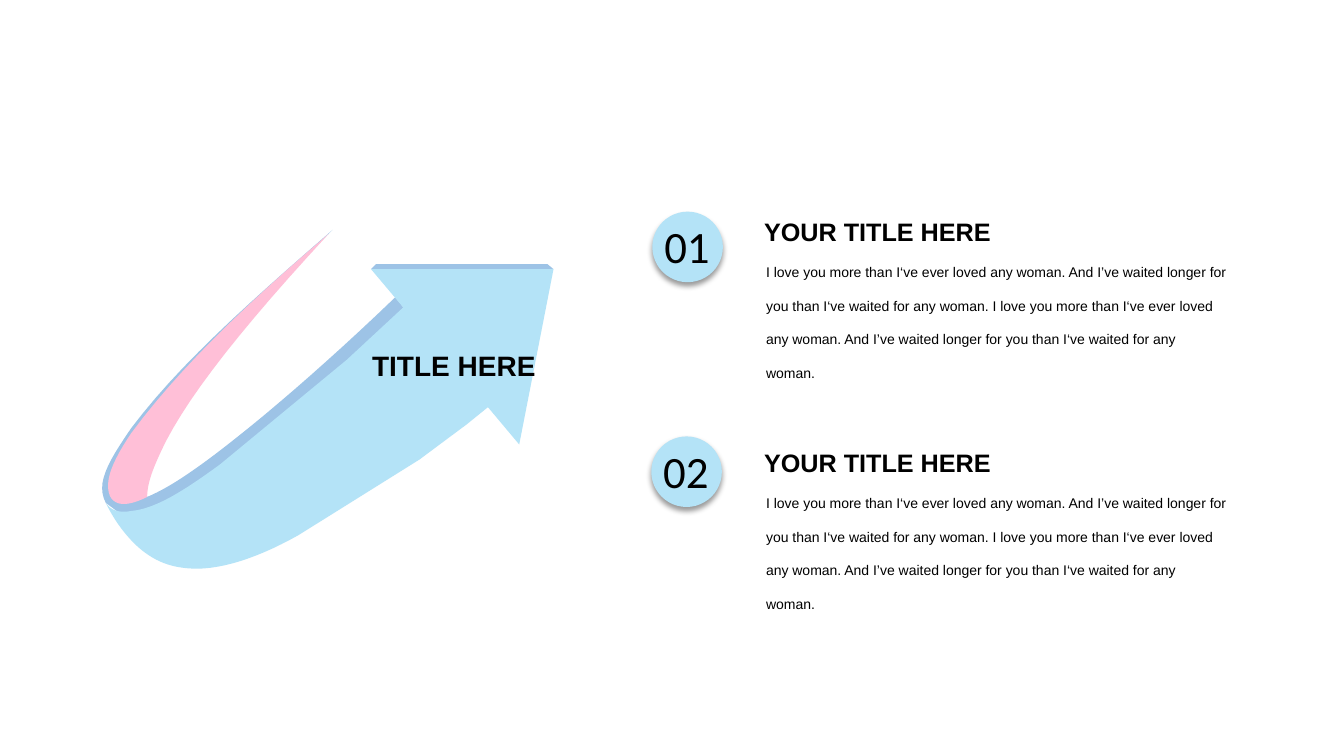
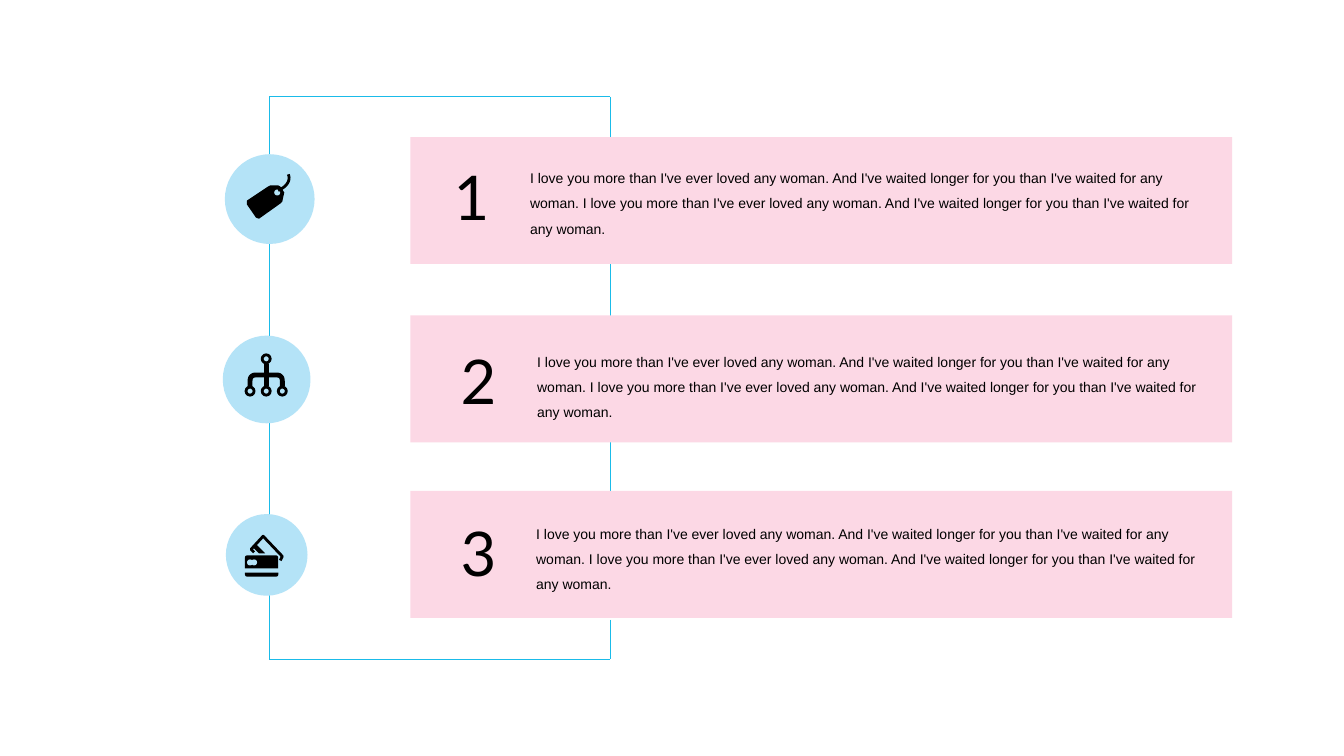
from lxml.etree import SubElement
from pptx import Presentation
from pptx.dml.color import RGBColor
from pptx.enum.shapes import MSO_CONNECTOR, MSO_SHAPE
from pptx.enum.text import MSO_ANCHOR, MSO_AUTO_SIZE, PP_ALIGN
from pptx.oxml.ns import qn
from pptx.util import Inches, Pt

BLACK = RGBColor(0x00, 0x00, 0x00)
SKY = RGBColor(0xB4, 0xE3, 0xF7)
BLUE = RGBColor(0x9D, 0xC3, 0xE6)
PINK = RGBColor(0xFF, 0xBF, 0xD7)
PALE_PINK = RGBColor(0xFC, 0xD8, 0xE5)
CYAN = RGBColor(0x1A, 0xBB, 0xE9)

TITLE_ONLY, BLANK = 5, 6
CURVE_STEPS = 12

QUOTE_CURLY = " ".join([
    "I love you more than I‘ve ever loved any woman. "
    "And I’ve waited longer for you than I‘ve waited for any woman."] * 2)
QUOTE_STRAIGHT = " ".join([
    "I love you more than I've ever loved any woman. "
    "And I've waited longer for you than I've waited for any woman."] * 2)

# Outlines: a start point, then segments of one point (line) or three (curve)
RIBBON_EDGE = [
    [(2.3, 0.28)],
    [(1.4, 1.06), (0.75, 1.65), (0.3, 2.25)],
    [(0.06, 2.6), (-0.05, 2.8), (0.05, 2.99)],
    [(0.2, 3.1)], [(0.7, 3.02)], [(1.18, 2.7)], [(2.5, 1.65)],
    [(3, 1.05)], [(2.92, 0.95)],
    [(2.19, 1.65), (1.59, 2.16), (1.13, 2.51)],
    [(0.85, 2.72), (0.65, 2.85), (0.46, 2.93)],
    [(0.4, 2.6)], [(0.95, 1.7)], [(1.5, 1.04)],
]
HEAD_EDGE = [[(2.68, 0.67)], [(2.73, 0.62)], [(4.43, 0.62)], [(4.49, 0.67)]]
RIBBON_FRONT = [
    [(0.05, 2.99)],
    [(0.15, 3.2), (0.32, 3.42), (0.51, 3.53)],
    [(0.66, 3.62), (0.83, 3.65), (1.02, 3.64)],
    [(1.3, 3.62), (1.62, 3.5), (1.96, 3.31)],
    [(3.16, 2.56)], [(3.63, 2.21)], [(3.84, 2.04)],
    [(4.15, 2.41)], [(4.49, 0.67)], [(2.68, 0.67)],
    [(3, 1.05)], [(2.44, 1.57)], [(1.18, 2.61)],
    [(0.85, 2.85), (0.55, 3.05), (0.3, 3.07)],
    [(0.2, 3.09), (0.1, 3.07), (0.05, 2.99)],
]
RIBBON_BACK = [
    [(0.46, 2.93)],
    [(0.46, 2.8), (0.51, 2.65), (0.65, 2.37)],
    [(0.9, 1.89), (1.41, 1.24), (2.26, 0.32)],
    [(1.4, 1.05), (0.75, 1.69), (0.3, 2.3)],
    [(0.12, 2.57), (0.03, 2.77), (0.09, 2.92)],
    [(0.15, 3.04), (0.3, 3.01), (0.46, 2.93)],
]
TAG_BODY = [[point] for point in (
    (0.45, 0.31), (0.53, 0.31), (0.55, 0.32), (0.59, 0.38), (0.57, 0.47),
    (0.55, 0.49), (0.34, 0.64), (0.31, 0.63), (0.22, 0.5), (0.22, 0.46),
    (0.43, 0.32))]
TAG_STRING = [[(0.53, 0.36)], [(0.6, 0.33), (0.66, 0.27), (0.63, 0.2)]]
NETWORK_TRUNK = [[(0.43, 0.28)], [(0.43, 0.5)]]
NETWORK_ARCH = [
    [(0.27, 0.5)], [(0.27, 0.45)],
    [(0.27, 0.41), (0.29, 0.39), (0.33, 0.39)], [(0.53, 0.39)],
    [(0.57, 0.39), (0.59, 0.41), (0.59, 0.45)], [(0.59, 0.5)],
]
BACK_CARD = [[point] for point in (
    (0.28, 0.38), (0.25, 0.35), (0.37, 0.22), (0.56, 0.42), (0.54, 0.46))]
BACK_CARD_STRIPE = [[point] for point in (
    (0.27, 0.33), (0.3, 0.3), (0.39, 0.39), (0.33, 0.39))]


# Shared drawing helpers
def flatten(segments):
    points = list(segments[0])
    for segment in segments[1:]:
        if len(segment) == 1:
            points += segment
            continue
        corners = [points[-1], *segment]
        for step in range(1, CURVE_STEPS + 1):
            t = step / CURVE_STEPS
            weights = ((1 - t) ** 3, 3 * t * (1 - t) ** 2,
                       3 * t * t * (1 - t), t ** 3)
            points.append(tuple(
                sum(w * corner[axis] for w, corner in zip(weights, corners))
                for axis in (0, 1)))
    return points


def paint(shape, fill=None, line=None, width=0):
    shape.shadow.inherit = False
    if fill is None:
        shape.fill.background()
    else:
        shape.fill.solid()
        shape.fill.fore_color.rgb = fill
    if line is None:
        shape.line.fill.background()
    else:
        shape.line.color.rgb = line
        shape.line.width = Pt(width)
    return shape


def add_outline(slide, left, top, segments, fill=None, width=0):
    """A filled outline, or an open black stroke when a width is given."""
    points = [(Inches(left + x), Inches(top + y)) for x, y in flatten(segments)]
    builder = slide.shapes.build_freeform(*points[0])
    builder.add_line_segments(points[1:], close=not width)
    paint(builder.convert_to_shape(), fill, BLACK if width else None, width)


def add_block(slide, kind, left, top, width, height, fill, line=None, line_width=0):
    shape = slide.shapes.add_shape(
        kind, Inches(left), Inches(top), Inches(width), Inches(height))
    return paint(shape, fill, line, line_width)


def add_disc(slide, center_x, center_y, radius, fill, line=None, line_width=0):
    return add_block(slide, MSO_SHAPE.OVAL, center_x - radius, center_y - radius,
                     2 * radius, 2 * radius, fill, line, line_width)


def format_text(shape, text, size, font="Arial", bold=False, spacing=1.0,
                align=PP_ALIGN.LEFT):
    frame = shape.text_frame
    frame.text = text
    frame.word_wrap = True
    frame.auto_size = MSO_AUTO_SIZE.NONE
    frame.vertical_anchor = MSO_ANCHOR.TOP
    paragraph = frame.paragraphs[0]
    paragraph.line_spacing = spacing
    paragraph.alignment = align
    run_font = paragraph.runs[0].font
    run_font.name = font
    run_font.size = Pt(size)
    run_font.bold = bold
    run_font.color.rgb = BLACK


def add_text(slide, left, top, width, height, text, size, **style):
    box = slide.shapes.add_textbox(
        Inches(left), Inches(top), Inches(width), Inches(height))
    format_text(box, text, size, **style)


def add_drop_shadow(shape):
    effects = shape.element.spPr.find(qn("a:effectLst"))
    shadow = SubElement(effects, qn("a:outerShdw"), blurRad=str(Pt(4)),
                        dist=str(Pt(3)), dir="5400000", algn="t", rotWithShape="0")
    color = SubElement(shadow, qn("a:srgbClr"), val=str(BLACK))
    SubElement(color, qn("a:alpha"), val="40000")


def add_line(slide, start, end):
    line = slide.shapes.add_connector(
        MSO_CONNECTOR.STRAIGHT, *map(Inches, (*start, *end)))
    line.line.color.rgb = CYAN
    line.line.width = Pt(0.5)
    SubElement(line.element.spPr, qn("a:effectLst"))


# Slide 1: ribbon arrow with two numbered points
def add_ribbon_arrow(slide, left, top):
    for segments, fill in ((RIBBON_EDGE, BLUE), (HEAD_EDGE, BLUE),
                           (RIBBON_FRONT, SKY), (RIBBON_BACK, PINK)):
        add_outline(slide, left, top, segments, fill)
    title = slide.shapes.title
    title.left, title.top = Inches(left + 2.59), Inches(top + 1.24)
    title.width, title.height = Inches(1.85), Inches(0.55)
    format_text(title, "TITLE HERE", 20, bold=True, spacing=1.5)
    slide.shapes.element.append(title.element)  # bring to front


def add_point(slide, left, top, number, text_top):
    badge = add_block(slide, MSO_SHAPE.OVAL, left, top, 0.7, 0.7, SKY)
    add_drop_shadow(badge)
    add_text(slide, left + 0.02, top + 0.02, 1.13, 0.64, number, 32, font="Calibri")
    add_text(slide, 7.48, text_top, 2.8, 0.5, "YOUR TITLE HERE", 18,
             bold=True, spacing=1.5, align=PP_ALIGN.JUSTIFY)
    add_text(slide, 7.5, text_top + 0.45, 4.77, 1.4, QUOTE_CURLY, 10, spacing=2.0)


def build_arrow_slide(presentation):
    slide = presentation.slides.add_slide(presentation.slide_layouts[TITLE_ONLY])
    add_ribbon_arrow(slide, 1, 2)
    add_point(slide, 6.47, 2.1, "01", 1.95)
    add_point(slide, 6.46, 4.33, "02", 4.24)


# Slide 2: icons on a frame with three numbered cards
def add_tag_icon(slide, left, top):
    add_outline(slide, left, top, TAG_BODY, BLACK)
    add_disc(slide, left + 0.52, top + 0.38, 0.03, SKY)
    add_outline(slide, left, top, TAG_STRING, width=2)


def add_network_icon(slide, left, top):
    add_outline(slide, left, top, NETWORK_TRUNK, width=3.5)
    add_outline(slide, left, top, NETWORK_ARCH, width=3.5)
    for x, y in ((0.43, 0.23), (0.27, 0.55), (0.43, 0.55), (0.59, 0.55)):
        add_disc(slide, left + x, top + y, 0.04, SKY, BLACK, 2)


def add_cards_icon(slide, left, top):
    add_outline(slide, left, top, BACK_CARD, width=2)
    add_outline(slide, left, top, BACK_CARD_STRIPE, BLACK)
    add_block(slide, MSO_SHAPE.ROUND_2_SAME_RECTANGLE,
              left + 0.19, top + 0.41, 0.33, 0.13, BLACK)
    base = add_block(slide, MSO_SHAPE.ROUND_2_SAME_RECTANGLE,
                     left + 0.19, top + 0.58, 0.33, 0.04, BLACK)
    base.adjustments[0] = 0.5
    base.rotation = 180
    for x in (0.24, 0.28):
        add_disc(slide, left + x, top + 0.48, 0.03, SKY)


def add_frame(slide, left, top, right, bottom, rail_spans):
    add_line(slide, (left, top), (left, bottom))
    for y in (top, bottom):
        add_line(slide, (left, y), (right, y))
    for start, end in rail_spans:
        add_line(slide, (right, start), (right, end))


def add_icon_disc(slide, left, top, size, add_icon):
    add_block(slide, MSO_SHAPE.OVAL, left, top, size, size, SKY)
    add_icon(slide, left, top)


def add_card(slide, left, top, number, number_x, number_y, text_x):
    add_block(slide, MSO_SHAPE.RECTANGLE, left, top, 8.15, 1.26, PALE_PINK)
    y = top + number_y
    add_text(slide, left + number_x, y, 0.61, 0.84, number, 44, font="Lato")
    add_text(slide, left + text_x, y + 0.02, 6.76, 0.83, QUOTE_STRAIGHT, 10,
             spacing=1.5)


def build_cards_slide(presentation):
    slide = presentation.slides.add_slide(presentation.slide_layouts[BLANK])
    rail_spans = ((0.96, 1.48), (2.47, 3.32), (4.33, 5.18), (6.15, 6.54))
    add_frame(slide, 2.67, 0.96, 6.05, 6.54, rail_spans)
    add_icon_disc(slide, 2.21, 3.33, 0.87, add_network_icon)
    add_icon_disc(slide, 2.24, 5.1, 0.81, add_cards_icon)
    add_icon_disc(slide, 2.23, 1.53, 0.89, add_tag_icon)
    add_card(slide, 4.07, 1.36, "1", 0.33, 0.17, 1.09)
    add_card(slide, 4.07, 3.13, "2", 0.4, 0.22, 1.16)
    add_card(slide, 4.07, 4.87, "3", 0.4, 0.19, 1.15)


def main():
    presentation = Presentation()
    presentation.slide_width = Inches(13.33)
    presentation.slide_height = Inches(7.5)
    build_arrow_slide(presentation)
    build_cards_slide(presentation)
    presentation.save("out.pptx")


if __name__ == "__main__":
    main()
